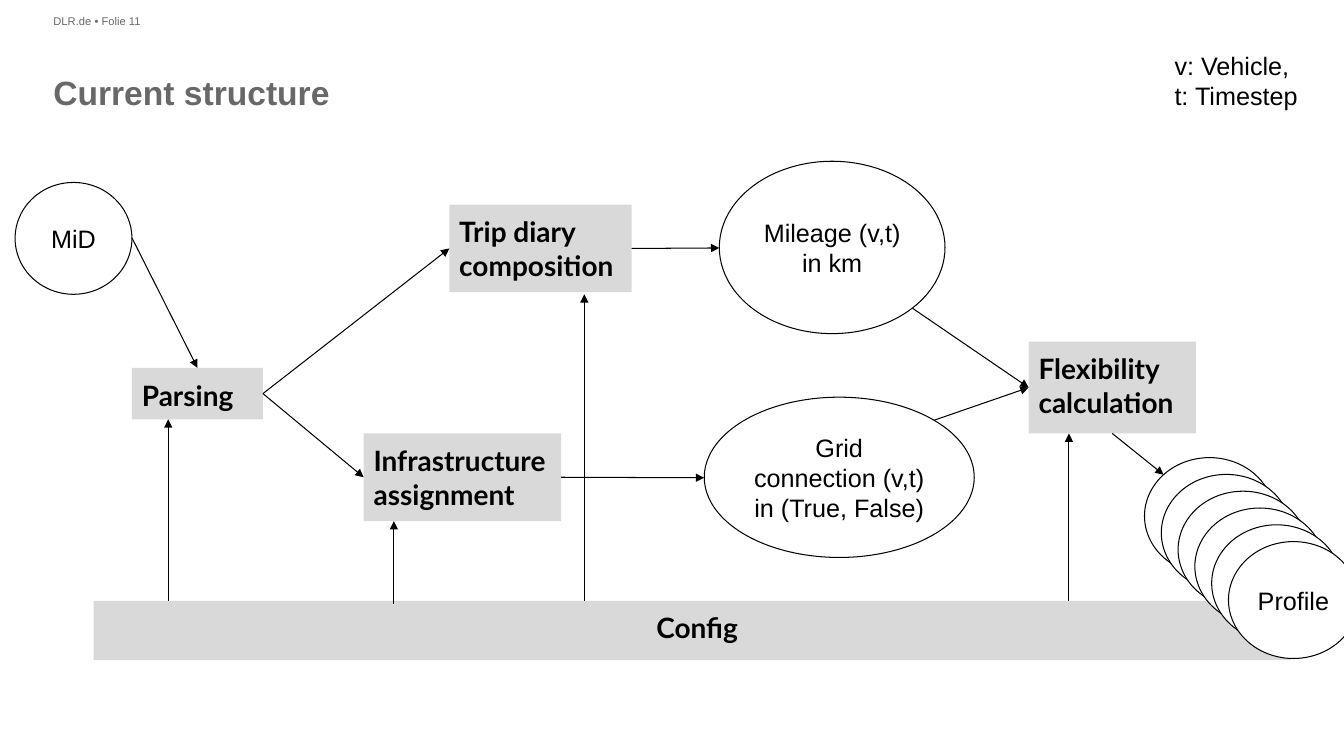
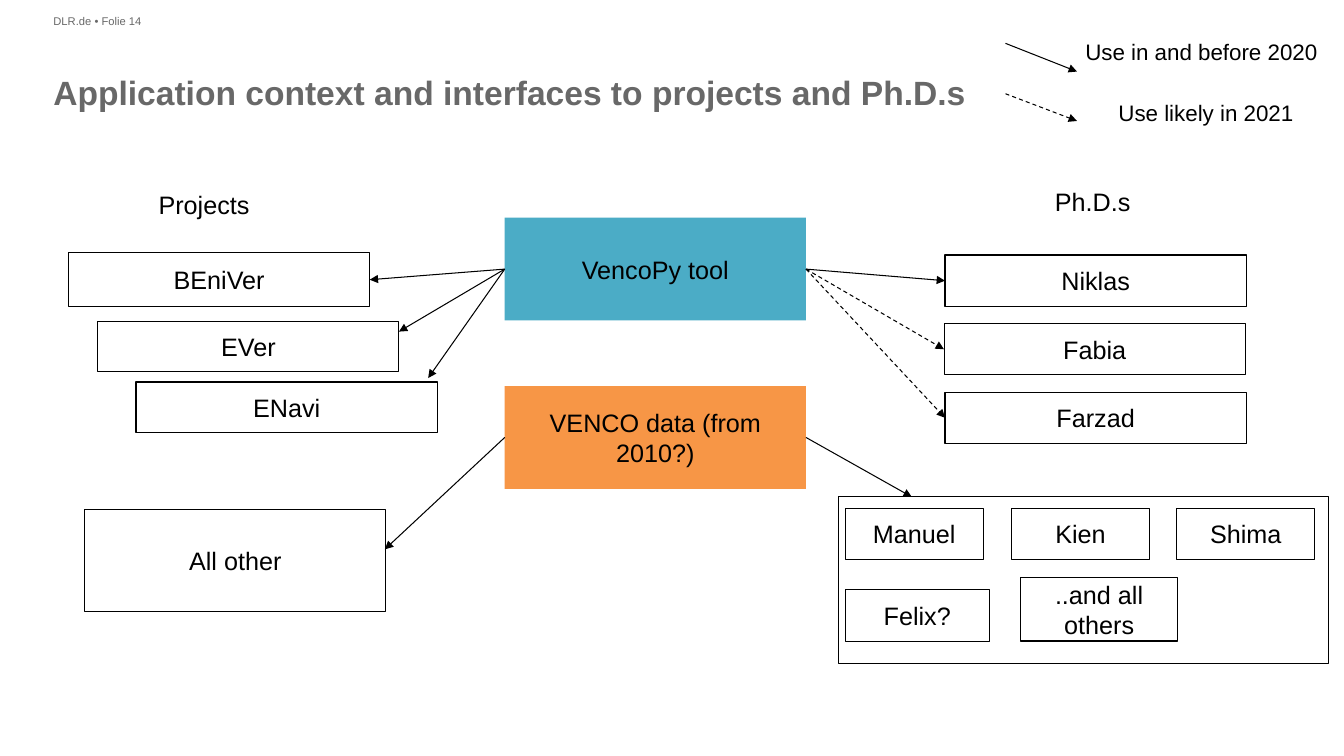
from lxml import etree
from pptx import Presentation
from pptx.dml.color import RGBColor
from pptx.enum import dml, shapes, text
from pptx.oxml.ns import qn
from pptx.util import Inches, Pt

BLACK = RGBColor(0x00, 0x00, 0x00)
WHITE = RGBColor(0xFF, 0xFF, 0xFF)
DARK = RGBColor(0x68, 0x68, 0x68)
GREY = RGBColor(0xD9, 0xD9, 0xD9)
BLUE = RGBColor(0x4B, 0xAC, 0xC6)
ORANGE = RGBColor(0xF7, 0x96, 0x46)

RECT = shapes.MSO_SHAPE.RECTANGLE
OVAL = shapes.MSO_SHAPE.OVAL
TOP, LEFT, BOTTOM, RIGHT = range(4)
AL = text.PP_ALIGN
MID = text.MSO_ANCHOR.MIDDLE
INSET = (0.1, 0.05, 0.1, 0.05)

# Slide 1: processing steps, data sets and the arrows between them
STEPS = [
    ("Config", (0.93, 5.96, 11.88, 0.59), AL.CENTER),
    ("Parsing", (1.31, 3.65, 1.3, 0.51), AL.LEFT),
    ("Infrastructure assignment", (3.61, 4.3, 1.96, 0.87), AL.LEFT),
    ("Trip diary composition", (4.46, 2.03, 1.81, 0.87), AL.LEFT),
    ("Flexibility calculation", (10.21, 3.39, 1.66, 0.91), AL.LEFT),
]
DATA = [
    ("MiD", (0.15, 1.81, 1.16, 1.11)),
    ("Mileage (v,t) in km", (7.14, 1.6, 2.24, 1.71)),
    ("Grid connection (v,t) in (True, False)", (6.99, 3.94, 2.68, 1.59)),
]
STACK, SHIFT = 6, 1 / 6
# An arrow end is a point or a (box name, side) pair
FLOW = [
    (("Parsing", RIGHT), ("Trip diary composition", LEFT)),
    (("Parsing", RIGHT), ("Infrastructure assignment", LEFT)),
    (("Trip diary composition", RIGHT), (7.14, 2.46)),
    ((1.31, 2.36), ("Parsing", TOP)),
    (("Infrastructure assignment", RIGHT), (6.99, 4.74)),
    ((9.27, 4.17), ("Flexibility calculation", LEFT)),
    ((9.06, 3.06), ("Flexibility calculation", LEFT)),
    (("Flexibility calculation", BOTTOM), (11.55, 4.71)),
]
CONFIG = [(1.67, 5.96, 4.16), (3.91, 5.99, 5.17),
          (5.8, 5.96, 2.92), (10.61, 5.96, 4.3)]

# Slide 2: tools, their users and the arrows between them
TOOL, STOCK = "VencoPy tool", "VENCO data (from 2010?)"
TOOLS = [(TOOL, 2.16, BLUE), (STOCK, 3.83, ORANGE)]
HEADS = [("Projects", 0.53, 1.52), ("Ph.D.s", 9.35, 1.49)]
WIDE = 2.99
USERS = [
    ("BEniVer", (0.68, 2.51, WIDE, 0.53)),
    ("EVer", (0.97, 3.19, WIDE, 0.5)),
    ("ENavi", (1.35, 3.79, WIDE, 0.5)),
    ("All other", (0.84, 5.05, WIDE, 1.02)),
    ("Niklas", (9.38, 2.53, WIDE, 0.51)),
    ("Fabia", (9.37, 3.21, WIDE, 0.51)),
    ("Farzad", (9.38, 3.89, WIDE, 0.51)),
    ("", (8.32, 4.93, 4.87, 1.65)),
    ("Manuel", (8.39, 5.04, 1.37, 0.51)),
    ("Kien", (10.04, 5.04, 1.37, 0.51)),
    ("Shima", (11.68, 5.04, 1.37, 0.51)),
    ("Felix?", (8.39, 5.85, 1.43, 0.51)),
    ("..and all others", (10.13, 5.73, 1.56, 0.63)),
]
USES = [
    ((TOOL, LEFT), ("BEniVer", RIGHT), False),
    ((TOOL, LEFT), (3.96, 3.29), False),
    ((TOOL, LEFT), (4.25, 3.75), False),
    ((STOCK, LEFT), (3.82, 5.45), False),
    ((TOOL, RIGHT), ("Niklas", LEFT), False),
    ((TOOL, RIGHT), ("Fabia", LEFT), True),
    ((TOOL, RIGHT), ("Farzad", LEFT), True),
    ((STOCK, RIGHT), (9.05, 4.93), False),
    ((9.98, 0.43), (10.69, 0.71), False),
    ((9.98, 0.93), (10.69, 1.2), True),
]
KEY = [("Use in and before 2020", (10.66, 0.33, 2.53, 0.37)),
       ("Use likely in 2021", (10.99, 0.93, 1.96, 0.37))]


def write(shape, words, size=18, color=BLACK, bold=False, font="Arial",
          align=AL.CENTER, anchor=MID, inset=INSET, wrap=True):
    frame = shape.text_frame
    frame.word_wrap = wrap
    frame.vertical_anchor = anchor
    (frame.margin_left, frame.margin_top,
     frame.margin_right, frame.margin_bottom) = map(Inches, inset)
    frame.text = words
    for par in frame.paragraphs:
        par.alignment = align
        par.font.name, par.font.size = font, Pt(size)
        par.font.bold, par.font.color.rgb = bold, color


def label(slide, words, box, **style):
    write(slide.shapes.add_textbox(*map(Inches, box)), words, **style)


def node(slide, words, box, form=RECT, fill=None, line=True, **style):
    shape = slide.shapes.add_shape(form, *map(Inches, box))
    shape.shadow.inherit = False
    if fill is None:
        shape.fill.background()
    else:
        shape.fill.solid()
        shape.fill.fore_color.rgb = fill
    if line:
        shape.line.color.rgb, shape.line.width = BLACK, Pt(0.75)
    else:
        shape.line.fill.background()
    if words:
        write(shape, words, **style)
    return shape


def arrow(slide, start, end, boxes, dashed=False):
    """Draw an arrow, joining each end that names a box in boxes."""
    spots = [(0, 0) if end_[0] in boxes else end_ for end_ in (start, end)]
    line = slide.shapes.add_connector(
        shapes.MSO_CONNECTOR.STRAIGHT, *map(Inches, spots[0] + spots[1]))
    for spot, join in ((start, line.begin_connect), (end, line.end_connect)):
        if spot[0] in boxes:
            join(boxes[spot[0]], spot[1])
    line.line.color.rgb, line.line.width = BLACK, Pt(0.75)
    if dashed:
        line.line.dash_style = dml.MSO_LINE.DASH
    head = etree.SubElement(line.line._get_or_add_ln(), qn("a:tailEnd"))
    head.set("type", "triangle")
    etree.SubElement(line._element.spPr, qn("a:effectLst"))


def page(deck, title, number):
    slide = deck.slides.add_slide(deck.slide_layouts[6])
    plain = dict(color=DARK, align=AL.LEFT, anchor=text.MSO_ANCHOR.TOP,
                 inset=(0, 0, 0, 0))
    label(slide, f"DLR.de • Folie {number}", (0.53, 0.14, 1.14, 0.16),
          size=8, **plain)
    label(slide, title, (0.53, 0.71, 12.27, 0.81), size=24, bold=True, **plain)
    return slide


def structure(deck):
    slide = page(deck, "Current structure", 11)
    boxes = {
        name: node(slide, name, box, fill=GREY, line=False, size=20, bold=True,
                   font="Lato", align=align, anchor=text.MSO_ANCHOR.TOP,
                   inset=(0.1, 0.1, 0, 0.05))
        for name, box, align in STEPS}
    for name, box in DATA:
        node(slide, name, box, OVAL)
    for i in range(STACK):
        node(slide, "Profile",
             (11.36 + i * SHIFT, 4.54 + i * SHIFT, 1.29, 1.16),
             OVAL, WHITE, wrap=False)
    label(slide, "v: Vehicle,\nt: Timestep", (11.56, 0.45, 1.44, 0.71),
          align=AL.LEFT, anchor=text.MSO_ANCHOR.TOP, wrap=False)
    for start, end in FLOW:
        arrow(slide, start, end, boxes)
    for x, low, high in CONFIG:
        arrow(slide, (x, low), (x, high), boxes)


def context(deck):
    slide = page(
        deck, "Application context and interfaces to projects and Ph.D.s", 14)
    boxes = {name: node(slide, name, (5.01, y, WIDE, 1.02), fill=fill,
                        line=False)
             for name, y, fill in TOOLS}
    for name, box in USERS:
        boxes[name] = node(slide, name, box)
    for name, x, y in HEADS:
        label(slide, name, (x, y, WIDE, 1.02))
    for words, box in KEY:
        label(slide, words, box, size=16, anchor=text.MSO_ANCHOR.TOP,
              wrap=False)
    for start, end, dashed in USES:
        arrow(slide, start, end, boxes, dashed)


def main():
    deck = Presentation()
    deck.slide_width, deck.slide_height = Inches(13.34), Inches(7.5)
    structure(deck)
    context(deck)
    deck.save("out.pptx")


if __name__ == "__main__":
    main()
